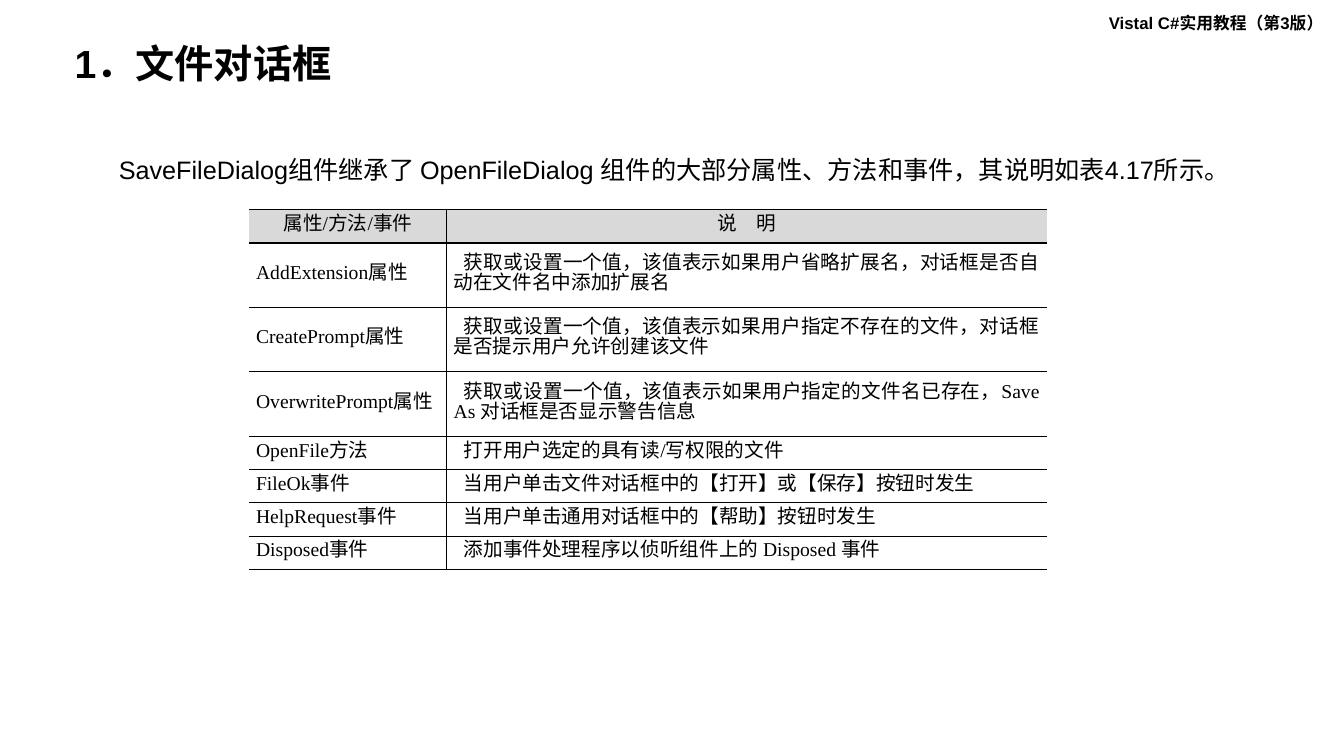
from dataclasses import dataclass

from lxml import etree
from pptx import Presentation
from pptx import util as u
from pptx.dml.color import RGBColor
from pptx.enum import text
from pptx.oxml import ns


@dataclass(frozen=True)
class Theme:
    ink: str = "000000"
    shade: str = "D9D9D9"
    sans: str = "Arial"
    serif: str = "Times New Roman"
    small: int = 12
    head: int = 28
    body: int = 18
    grid: int = 14
    rule: int = 1


THEME = Theme()
LEFT = text.PP_ALIGN.LEFT
MID = text.PP_ALIGN.CENTER
JUST = text.PP_ALIGN.JUSTIFY

HEADS = ("属性/方法/事件", "说　明")
ROWS = (
    ("AddExtension属性", "获取或设置一个值，该值表示如果用户省略扩展名，对话框是否自动在文件名中添加扩展名", 0.64),
    ("CreatePrompt属性", "获取或设置一个值，该值表示如果用户指定不存在的文件，对话框是否提示用户允许创建该文件", 0.64),
    ("OverwritePrompt属性", "获取或设置一个值，该值表示如果用户指定的文件名已存在，Save As 对话框是否显示警告信息", 0.64),
    ("OpenFile方法", "打开用户选定的具有读/写权限的文件", 0.33),
    ("FileOk事件", "当用户单击文件对话框中的【打开】或【保存】按钮时发生", 0.33),
    ("HelpRequest事件", "当用户单击通用对话框中的【帮助】按钮时发生", 0.33),
    ("Disposed事件", "添加事件处理程序以侦听组件上的 Disposed 事件", 0.33),
)


def write(frame, words, size, face=THEME.sans, bold=False, align=LEFT):
    para = frame.paragraphs[0]
    para.alignment = align
    run = para.add_run()
    run.text = words
    font = run.font
    font.name, font.size, font.bold = face, u.Pt(size), bold
    font.color.rgb = RGBColor.from_string(THEME.ink)
    return para


def place(shape, box):
    shape.left, shape.top, shape.width, shape.height = map(u.Inches, box)


def add_title(slide, box, words):
    title = slide.shapes.title
    place(title, box)
    frame = title.text_frame
    frame.auto_size = text.MSO_AUTO_SIZE.NONE
    frame.vertical_anchor = text.MSO_ANCHOR.MIDDLE
    write(frame, words, THEME.head, bold=True).line_spacing = 0.9


def add_note(slide, box, words, size, bold=False):
    frame = slide.shapes.add_textbox(*map(u.Inches, box)).text_frame
    frame.word_wrap = True
    frame.auto_size = text.MSO_AUTO_SIZE.SHAPE_TO_FIT_TEXT
    write(frame, words, size, bold=bold)


def rule(cell, sides):
    props = cell._tc.get_or_add_tcPr()
    for spot, side in enumerate("LRTB"):
        line = etree.Element(ns.qn("a:ln" + side), w=str(u.Pt(THEME.rule)))
        if side in sides:
            fill = etree.SubElement(line, ns.qn("a:solidFill"))
            etree.SubElement(fill, ns.qn("a:srgbClr"), val=THEME.ink)
        else:
            etree.SubElement(line, ns.qn("a:noFill"))
        props.insert(spot, line)


def fill_cell(cell, words, top, last):
    cell.margin_left = cell.margin_right = u.Inches(0.07)
    cell.margin_top = cell.margin_bottom = 0
    cell.vertical_anchor = text.MSO_ANCHOR.MIDDLE
    if top:
        cell.fill.solid()
        cell.fill.fore_color.rgb = RGBColor.from_string(THEME.shade)
    else:
        cell.fill.background()
    rule(cell, "LTB" if last else "RTB")
    para = write(cell.text_frame, words, THEME.grid, THEME.serif,
                 align=MID if top else JUST)
    para.line_spacing = u.Pt(THEME.grid)
    if last and not top:
        props = para._p.get_or_add_pPr()
        props.set("marL", "0")
        props.set("indent", str(u.Inches(0.1)))


def add_grid(slide, box):
    lines = [(*HEADS, 0.33), *ROWS]
    frame = slide.shapes.add_table(len(lines), 2, *map(u.Inches, box))
    table = frame.table
    table.first_row = table.horz_banding = False
    name = 1.96
    table.columns[0].width = u.Inches(name)
    table.columns[1].width = u.Inches(box[2] - name)
    for row, (key, desc, high) in enumerate(lines):
        table.rows[row].height = u.Inches(high)
        for col, words in enumerate((key, desc)):
            fill_cell(table.cell(row, col), words, row == 0, col == 1)


def main():
    deck = Presentation()
    deck.slide_width, deck.slide_height = u.Inches(13.33), u.Inches(7.5)
    slide = deck.slides.add_slide(deck.slide_layouts[5])
    add_note(slide, (10.9, 0.08, 2.44, 0.3), "Vistal C#实用教程（第3版）",
             THEME.small, bold=True)
    add_title(slide, (0.64, 0.39, 6.34, 0.52), "1．文件对话框")
    add_note(slide, (1.08, 1.48, 11.02, 0.4),
             "SaveFileDialog组件继承了 OpenFileDialog 组件的大部分属性、方法和事件，"
             "其说明如表4.17所示。", THEME.body)
    add_grid(slide, (2.47, 2.08, 7.91, 3.56))
    deck.save("out.pptx")


if __name__ == "__main__":
    main()
